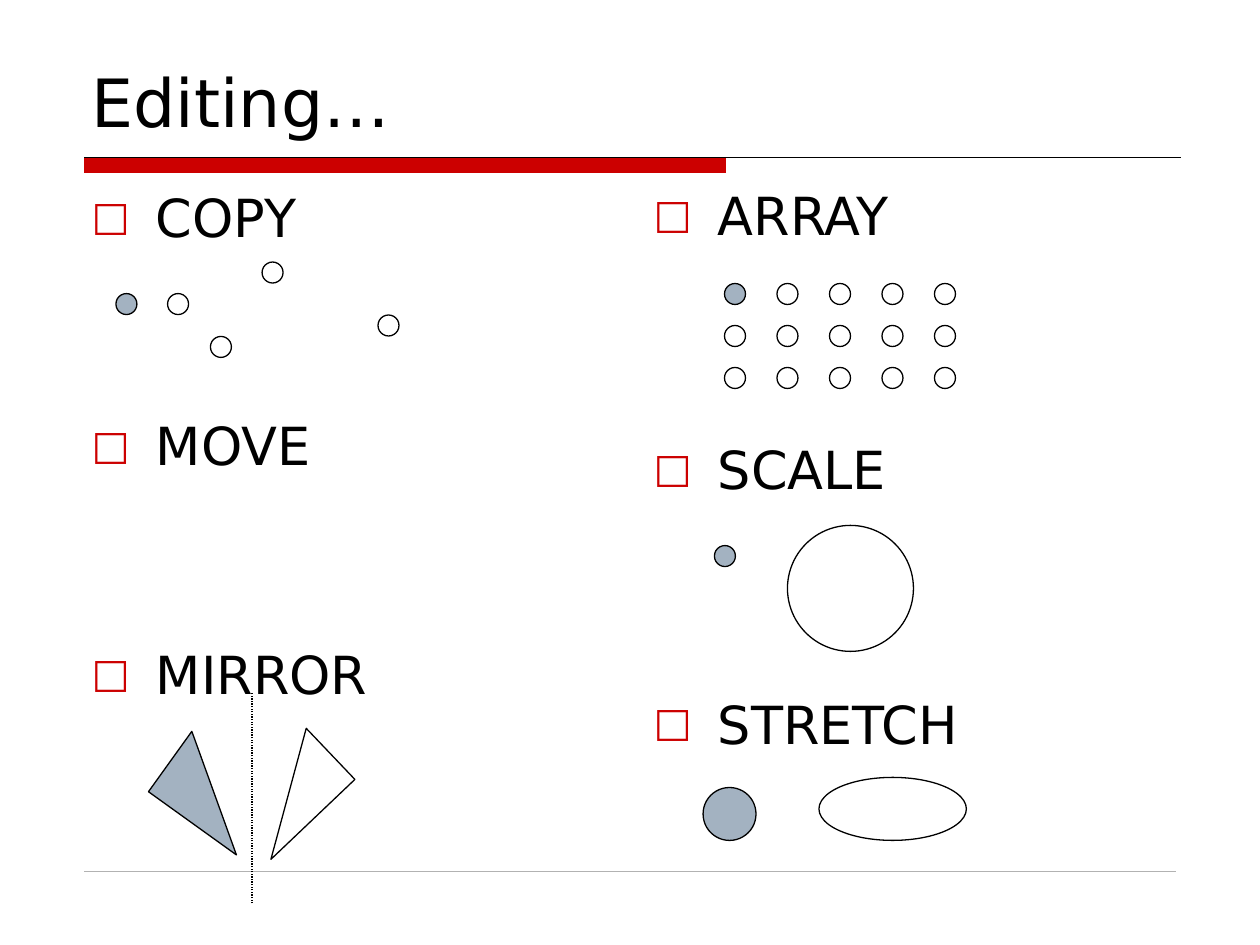
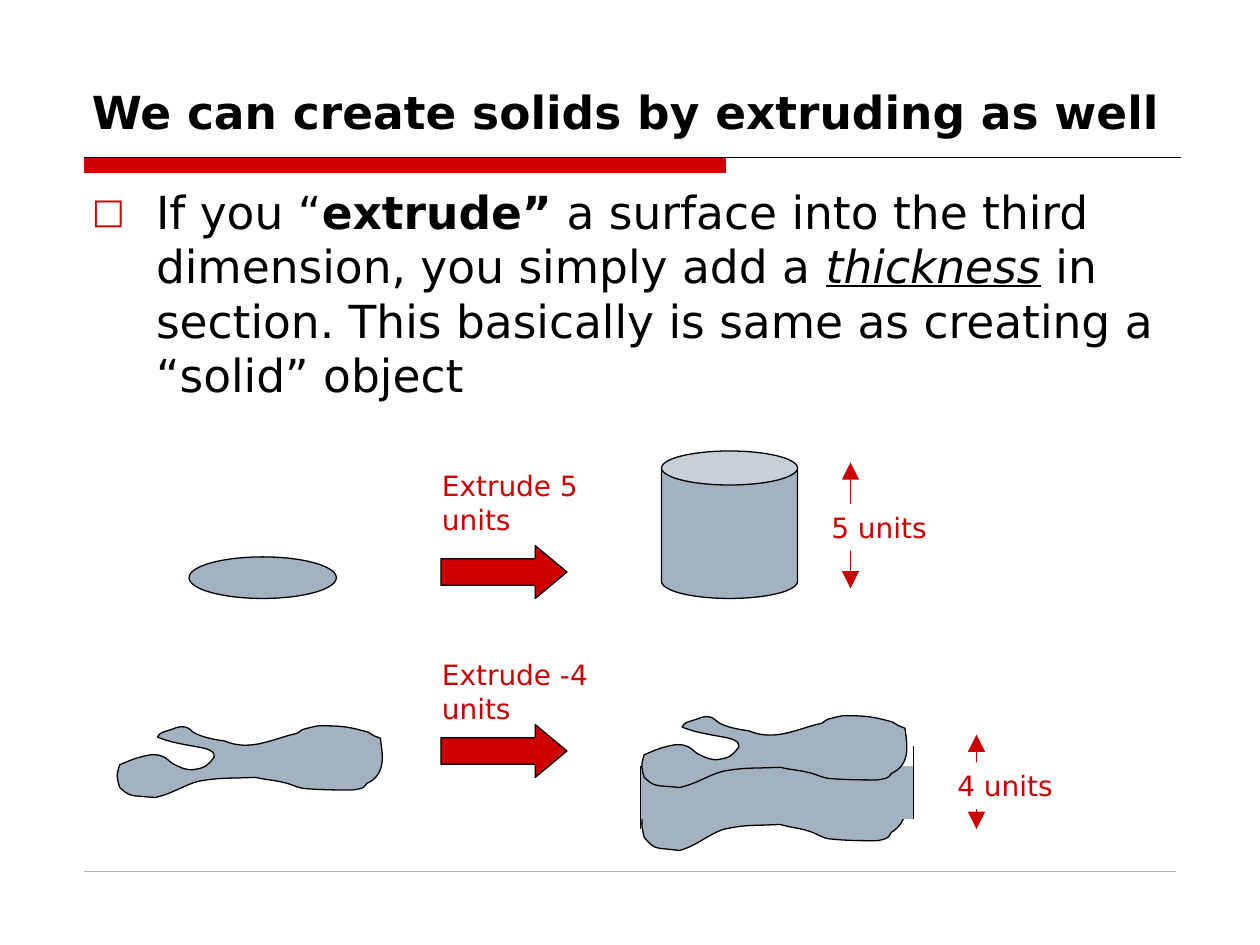
from lxml import etree
from pptx import Presentation
from pptx.dml.color import RGBColor
from pptx.enum.dml import MSO_LINE
from pptx.enum.shapes import MSO_CONNECTOR, MSO_SHAPE
from pptx.enum.text import MSO_ANCHOR
from pptx.oxml.ns import qn
from pptx.util import Inches, Pt

COLORS = {"red": "CC0000", "steel": "A3B2C1", "black": "000000",
          "gray": "B2B2B2", "white": "FFFFFF"}
FONT = "DejaVu Sans"
HANGING_INDENT = 0.51
DOT = 1 / 6

BAND_OUTLINE = [(0.67, 1.25), (5.76, 1.25), (5.76, 1.37), (0.67, 1.37)]
BAND_RULE = [(0.67, 1.25), (9.37, 1.25)]
FOOTER_TOP = 83 / 12

# Text runs: (text, format values)
EDITING_TITLE = [("Editing…", {"size": Pt(38)})]
EXTRUDE_TITLE = [
    ("We can create solids by extruding as well", {"size": Pt(26), "bold": True}),
    (" ", {"size": Pt(34)}),
]
EXTRUDE_BODY = [
    ("If you “", {}),
    ("extrude”", {"bold": True}),
    (" a surface into the third dimension, you simply add a ", {}),
    ("thickness", {"italic": True, "underline": True}),
    (" in section. This basically is same as creating a “solid” object", {}),
]

# Command columns: box, commands, space between commands, line spacing
COMMAND_COLUMNS = [
    ((0.63, 1.42, 4.13, 5.5), ["COPY", "MOVE", "MIRROR"], 94.5, 1.0),
    ((5.09, 1.5, 4.13, 5.17), ["ARRAY", "SCALE", "STRETCH"], 116.5, 0.8),
]
COPY_SOURCE = (0.92, 2.33)
COPY_TARGETS = [(1.33, 2.33), (1.67, 2.67), (2.08, 2.08), (3, 2.5)]
ARRAY_ORIGIN, ARRAY_STEP = (5.75, 2.25), (5 / 12, 1 / 3)
ARRAY_COLUMNS, ARRAY_ROWS = 5, 3
# Scale and stretch pairs: box, fill
RESIZED_ELLIPSES = [
    ((5.67, 4.33, DOT, DOT), "steel"),
    ((6.25, 4.17, 1, 1), None),
    ((5.58, 6.25, 0.42, 0.42), "steel"),
    ((6.5, 6.17, 1.17, 0.5), None),
]
# Mirrored triangles: box, rotation, fill
TRIANGLES = [
    ((1.27, 6, 0.86, 0.59), 35.7, "steel"),
    ((2.01, 5.84, 0.56, 0.92), 226.4, None),
]

# Extrusions: label, label top, arrow top
EXTRUSIONS = [("Extrude 5 units", 3.67, 4.33), ("Extrude -4 units", 5.17, 5.75)]
# Dimensions: label, label position, line x, line top, line bottom
DIMENSIONS = [
    ("5 units", (6.5, 4), 6.75, 3.67, 4.67),
    ("4 units", (7.5, 6.05), 7.75, 5.83, 6.58),
]

# Irregular surface: start point, then three Bezier points for each curve
SURFACE_SIZE = (2.17, 0.58)
SURFACE_START = (0.59, 0.04)
SURFACE_CURVES = [
    ((0.63, 0.09), (0.77, 0.12), (0.86, 0.13)),
    ((1.07, 0.22), (1.25, 0.11), (1.44, 0.07)),
    ((1.47, 0.05), (1.47, 0.04), (1.52, 0.03)),
    ((1.55, 0.02), (1.61, 0.01), (1.61, 0.01)),
    ((1.81, 0.01), (1.85, 0.02), (2.00, 0.06)),
    ((2.02, 0.07), (2.03, 0.08), (2.05, 0.09)),
    ((2.06, 0.10), (2.09, 0.10), (2.10, 0.11)),
    ((2.11, 0.22), (2.16, 0.39), (1.99, 0.47)),
    ((1.97, 0.51), (1.94, 0.51), (1.88, 0.52)),
    ((1.76, 0.52), (1.64, 0.52), (1.52, 0.51)),
    ((1.45, 0.51), (1.39, 0.47), (1.33, 0.46)),
    ((1.25, 0.44), (1.19, 0.44), (1.11, 0.42)),
    ((0.85, 0.43), (0.84, 0.42), (0.66, 0.45)),
    ((0.54, 0.48), (0.45, 0.55), (0.31, 0.58)),
    ((0.11, 0.56), (0.12, 0.58), (0.03, 0.50)),
    ((0.01, 0.43), (0.00, 0.41), (0.03, 0.32)),
    ((0.03, 0.32), (0.17, 0.26), (0.19, 0.26)),
    ((0.22, 0.25), (0.28, 0.24), (0.28, 0.24)),
    ((0.31, 0.24), (0.34, 0.24), (0.36, 0.25)),
    ((0.40, 0.26), (0.42, 0.29), (0.45, 0.31)),
    ((0.53, 0.35), (0.53, 0.35), (0.59, 0.36)),
    ((0.72, 0.35), (0.73, 0.32), (0.78, 0.26)),
    ((0.78, 0.24), (0.78, 0.23), (0.77, 0.22)),
    ((0.73, 0.19), (0.70, 0.19), (0.66, 0.18)),
    ((0.55, 0.16), (0.42, 0.14), (0.33, 0.10)),
    ((0.35, 0.06), (0.38, 0.06), (0.44, 0.04)),
    ((0.49, 0.02), (0.54, 0.00), (0.59, 0.04)),
]


def color(name):
    return RGBColor.from_string(COLORS[name])


def inches(values):
    return [Inches(value) for value in values]


def paint(shape, fill=None, line="black"):
    shape.shadow.inherit = False
    if fill:
        shape.fill.solid()
        shape.fill.fore_color.rgb = color(fill)
    else:
        shape.fill.background()
    if line:
        shape.line.color.rgb = color(line)
        shape.line.width = Pt(0.75)
    else:
        shape.line.fill.background()


def add_figure(slide, kind, box, fill=None, line="black"):
    shape = slide.shapes.add_shape(kind, *inches(box))
    paint(shape, fill, line)
    return shape


def add_line(slide, start, end, line="black", width=0.75):
    connector = slide.shapes.add_connector(MSO_CONNECTOR.STRAIGHT, *inches(start + end))
    connector.line.color.rgb = color(line)
    connector.line.width = Pt(width)
    etree.SubElement(connector._element.spPr, qn("a:effectLst"))
    return connector


def add_arrowheads(connector):
    line = connector.line._get_or_add_ln()
    for tag in ("a:headEnd", "a:tailEnd"):
        etree.SubElement(line, qn(tag), type="triangle", w="lg", len="lg")


def add_text_frame(slide, box, anchor=MSO_ANCHOR.TOP, fill=None):
    text_box = slide.shapes.add_textbox(*inches(box))
    if fill:
        paint(text_box, fill, None)
    frame = text_box.text_frame
    frame.word_wrap = True
    frame.vertical_anchor = anchor
    return frame


def write_runs(paragraph, runs, size=None, text_color="black"):
    for text, formats in runs:
        run = paragraph.add_run()
        run.text = text
        run.font.color.rgb = color(text_color)
        for name, value in {"name": FONT, "size": size, **formats}.items():
            setattr(run.font, name, value)


def add_bullet(paragraph):
    properties = paragraph._p.get_or_add_pPr()
    indent = Inches(HANGING_INDENT)
    properties.set("marL", str(indent))
    properties.set("indent", str(-indent))
    bullet_color = etree.SubElement(properties, qn("a:buClr"))
    etree.SubElement(bullet_color, qn("a:srgbClr"), val=COLORS["red"])
    etree.SubElement(properties, qn("a:buSzPct"), val="77000")
    etree.SubElement(properties, qn("a:buFont"), typeface=FONT)
    etree.SubElement(properties, qn("a:buChar"), char="□")


def add_label(slide, text, box, fill=None):
    paragraph = add_text_frame(slide, box, fill=fill).paragraphs[0]
    paragraph.space_before = Pt(10)
    write_runs(paragraph, [(text, {})], Pt(16), "red")


def add_title_band(slide):
    """Draw the red band and its thin rule as one shape with two outlines."""
    outline, rule = ([inches(point) for point in part] for part in (BAND_OUTLINE, BAND_RULE))
    builder = slide.shapes.build_freeform(*outline[0], scale=1.0)
    builder.add_line_segments(outline[1:], close=True)
    builder.move_to(*rule[0])
    builder.add_line_segments(rule[1:], close=False)
    band = builder.convert_to_shape()
    paint(band, "red")
    filled = next(band._element.iter(qn("a:path")))
    stroked = etree.SubElement(filled.getparent(), qn("a:path"), w=filled.get("w"),
                               h=filled.get("h"), fill="none")
    for segment in list(filled)[-2:]:
        stroked.append(segment)
    filled.set("stroke", "0")


def add_titled_slide(presentation, title):
    """Add a slide with the red title band, the footer rule and a title."""
    slide = presentation.slides.add_slide(presentation.slide_layouts[6])
    add_title_band(slide)
    add_line(slide, (0.67, FOOTER_TOP), (9.33, FOOTER_TOP), "gray", 0.25)
    frame = add_text_frame(slide, (0.63, 0.34, 8.75, 0.83), MSO_ANCHOR.BOTTOM)
    write_runs(frame.paragraphs[0], title)
    return slide


def add_command_column(slide, box, commands, gap, line_spacing):
    frame = add_text_frame(slide, box)
    for index, command in enumerate(commands):
        paragraph = frame.add_paragraph() if index else frame.paragraphs[0]
        paragraph.space_before = Pt(gap if index else 7.5)
        paragraph.line_spacing = line_spacing
        add_bullet(paragraph)
        write_runs(paragraph, [(command, {})], Pt(30))


def add_dot(slide, position, fill=None):
    add_figure(slide, MSO_SHAPE.OVAL, (*position, DOT, DOT), fill)


def add_surface(slide, left, top, height):
    """Draw the irregular surface, turning each three segments into a curve."""
    stretch = height / SURFACE_SIZE[1]
    corners = [SURFACE_START] + [point for curve in SURFACE_CURVES for point in curve]
    points = [inches((left + x, top + y * stretch)) for x, y in corners]
    builder = slide.shapes.build_freeform(*points[0], scale=1.0)
    builder.add_line_segments(points[1:], close=True)
    surface = builder.convert_to_shape()
    paint(surface, "steel")
    outline = next(surface._element.iter(qn("a:path")))
    segments = outline.findall(qn("a:lnTo"))[:3 * len(SURFACE_CURVES)]
    for index in range(0, len(segments), 3):
        curve = etree.Element(qn("a:cubicBezTo"))
        segments[index].addprevious(curve)
        for segment in segments[index:index + 3]:
            curve.append(segment[0])
            outline.remove(segment)


def build_editing_slide(presentation):
    slide = add_titled_slide(presentation, EDITING_TITLE)
    for column in COMMAND_COLUMNS:
        add_command_column(slide, *column)

    add_dot(slide, COPY_SOURCE, "steel")
    for target in COPY_TARGETS:
        add_dot(slide, target)
    for row in range(ARRAY_ROWS):
        for column in range(ARRAY_COLUMNS):
            position = (ARRAY_ORIGIN[0] + column * ARRAY_STEP[0],
                        ARRAY_ORIGIN[1] + row * ARRAY_STEP[1])
            add_dot(slide, position, None if row or column else "steel")

    for box, rotation, fill in TRIANGLES:
        triangle = add_figure(slide, MSO_SHAPE.RIGHT_TRIANGLE, box, fill)
        triangle.rotation = rotation
    mirror_axis = add_line(slide, (2, 7.17), (2, 5.5))
    mirror_axis.line.dash_style = MSO_LINE.ROUND_DOT

    for box, fill in RESIZED_ELLIPSES:
        add_figure(slide, MSO_SHAPE.OVAL, box, fill)


def build_extruding_slide(presentation):
    slide = add_titled_slide(presentation, EXTRUDE_TITLE)
    paragraph = add_text_frame(slide, (0.63, 1.41, 8.75, 5.17)).paragraphs[0]
    paragraph.space_before = Pt(6.5)
    add_bullet(paragraph)
    write_runs(paragraph, EXTRUDE_BODY, Pt(26))

    add_figure(slide, MSO_SHAPE.OVAL, (1.5, 4.42, 1.17, 0.33), "steel")
    cylinder = add_figure(slide, MSO_SHAPE.CAN, (5.25, 3.58, 1.08, 1.17), "steel")
    cylinder.adjustments[0] = 0.25

    width, height = SURFACE_SIZE
    solid_left, solid_right = 61 / 12, 7.25
    add_surface(slide, 0.92, 5.75, height)
    add_surface(slide, solid_left, 6, 0.75)
    add_figure(slide, MSO_SHAPE.RECTANGLE, (solid_left, 6.08, width, 0.42), "steel", None)
    add_surface(slide, solid_left, 5.67, height)
    add_line(slide, (solid_left, 6.08), (solid_left, 6.58))
    add_line(slide, (solid_right, 5.92), (solid_right, 6.5))

    for label, label_top, arrow_top in EXTRUSIONS:
        add_label(slide, label, (3.41, label_top, 1.5, 0.64))
        arrow = add_figure(slide, MSO_SHAPE.RIGHT_ARROW, (3.5, arrow_top, 1, 0.42), "red")
        arrow.adjustments[1] = 0.6

    for label, position, x, top, bottom in DIMENSIONS:
        add_arrowheads(add_line(slide, (x, top), (x, bottom), "red"))
        add_label(slide, label, (*position, 1, 0.37), "white")


def main():
    presentation = Presentation()
    presentation.slide_width = Inches(10)
    presentation.slide_height = Inches(7.5)
    build_editing_slide(presentation)
    build_extruding_slide(presentation)
    presentation.save("out.pptx")


if __name__ == "__main__":
    main()
